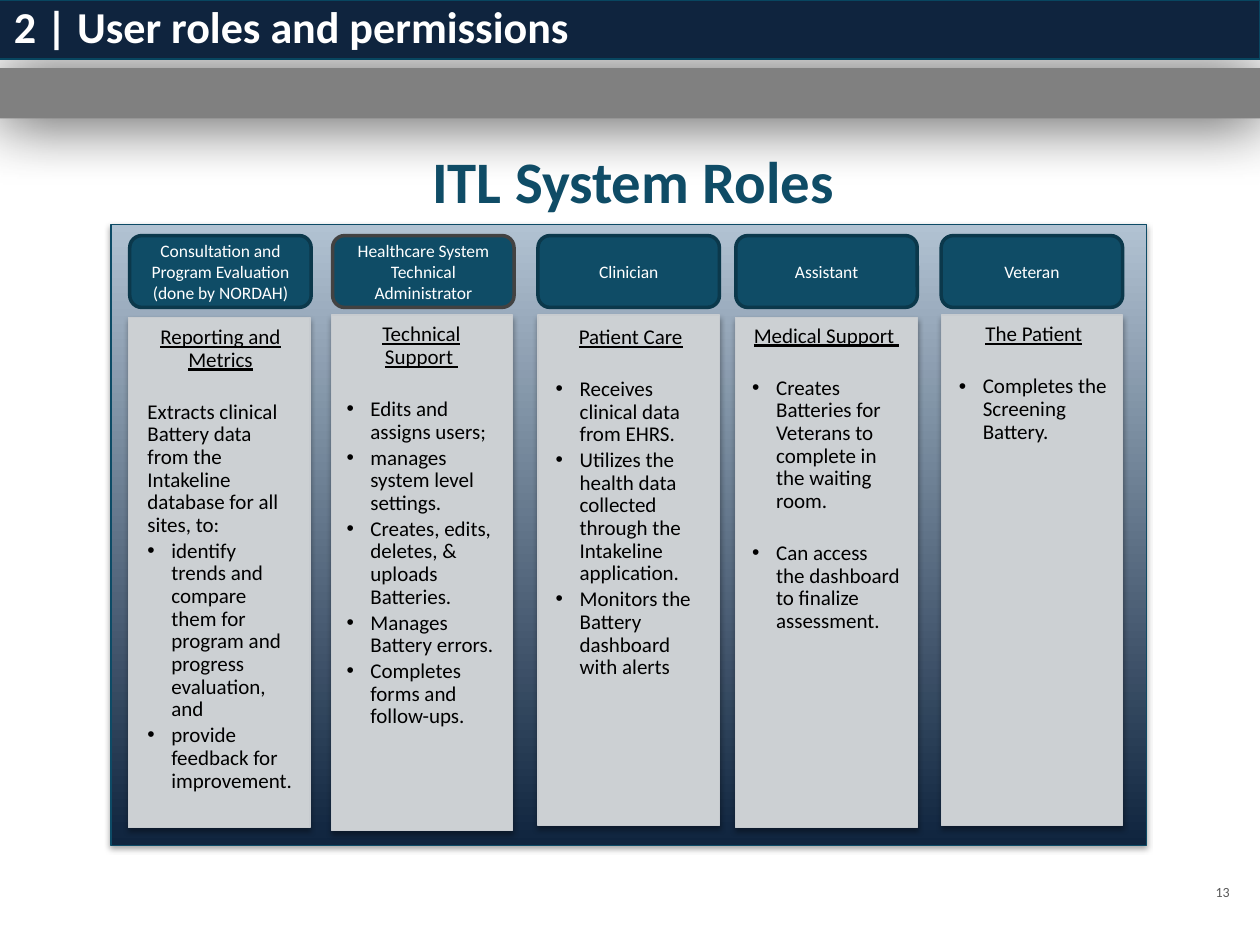
import pptx
import pptx.util
import pptx.dml.color
from pptx.enum.shapes import MSO_SHAPE
from pptx.enum.text import MSO_ANCHOR, PP_ALIGN
from pptx.oxml.ns import qn
from lxml import etree

Inches, Pt = pptx.util.Inches, pptx.util.Pt

FONT = "Calibri"
NAVY, TEAL, TEAL_DARK, TEAL_LINE = "0F243E", "0F4C66", "0B384B", "0D4B66"
PANEL, PANEL_LINE = "CCD0D3", "C7CBCF"
SOFT_SHADOW = (35, 3.1, 1.8)   # opacity %, blur pt, distance pt
BAR_SHADOW = (72, 38, 1)

TITLE = "2 | User roles and permissions"
SUBTITLE = "ITL System Roles"
PAGE = "13"

HEADER_TOP, HEADER_H = 1.87, 0.57
COL_W = 1.44
LINE_GAP, BLOCK_GAP = 1.8, 16.7   # points after a paragraph

# Each body line: (kind, text); "last" is a bullet that ends a block
ROLES = [
    dict(role="Consultation and Program Evaluation (done by NORDAH)", left=1.03,
         panel=(1.02, 2.52, 4.05), text=(1.1, 2.52, 1.32), line=TEAL_DARK,
         heading="Reporting and Metrics",
         body=[("plain", "Extracts clinical Battery data from the Intakeline "
                         "database for all sites, to:"),
               ("bullet", "identify trends and compare them for program and "
                          "progress evaluation, and"),
               ("bullet", "provide feedback for improvement.")]),
    dict(role="Healthcare System Technical Administrator", left=2.64,
         panel=(2.63, 2.5, 4.09), text=(2.68, 2.5, 1.35), line="424242",
         heading="Technical Support ",
         body=[("bullet", "Edits and assigns users;"),
               ("bullet", "manages system level settings."),
               ("bullet", "Creates, edits, deletes, & uploads Batteries."),
               ("bullet", "Manages Battery errors."),
               ("bullet", "Completes forms and follow-ups.")]),
    dict(role="Clinician", left=4.27,
         panel=(4.27, 2.5, 4.05), text=(4.34, 2.52, 1.35), line=TEAL_DARK,
         heading="Patient Care",
         body=[("bullet", "Receives clinical data from EHRS."),
               ("bullet", "Utilizes the health data collected through the "
                          "Intakeline application."),
               ("bullet", "Monitors the Battery dashboard with alerts")]),
    dict(role="Assistant", left=5.84,
         panel=(5.84, 2.52, 4.05), text=(5.9, 2.51, 1.34), line=TEAL_DARK,
         heading="Medical Support ",
         body=[("last", "Creates Batteries for Veterans to complete in the "
                        "waiting room."),
               ("bullet", "Can access the dashboard to finalize assessment.")]),
    dict(role="Veteran", left=7.47,
         panel=(7.47, 2.5, 4.05), text=(7.54, 2.5, 1.35), line=TEAL_DARK,
         heading="The Patient",
         body=[("bullet", "Completes the Screening Battery.")]),
]


def rgb(color):
    return pptx.dml.color.RGBColor.from_string(color)


def box(at):
    return [Inches(v) for v in at]


def add_shadow(sp, opacity, blur, dist):
    effects = sp.element.spPr.find(qn("a:effectLst"))
    shadow = etree.SubElement(effects, qn("a:outerShdw"), blurRad=str(Pt(blur)),
                              dist=str(Pt(dist)), dir="5400000", rotWithShape="0")
    clr = etree.SubElement(shadow, qn("a:srgbClr"), val="000000")
    etree.SubElement(clr, qn("a:alpha"), val=str(opacity * 1000))


def add_block(s, at, fill=None, line=None, width=0.75, shadow=None,
              kind=MSO_SHAPE.RECTANGLE):
    sp = s.shapes.add_shape(kind, *box(at))
    sp.shadow.inherit = False
    if fill:
        sp.fill.solid()
        sp.fill.fore_color.rgb = rgb(fill)
    if line:
        sp.line.color.rgb = rgb(line)
        sp.line.width = Pt(width)
    else:
        sp.line.fill.background()
    if shadow:
        add_shadow(sp, *shadow)
    return sp


def write(p, text, size, color, align=PP_ALIGN.LEFT, bold=False):
    p.text = text
    p.alignment = align
    p.font.name, p.font.size, p.font.bold = FONT, Pt(size), bold
    p.font.color.rgb = rgb(color)


def add_text(s, at, anchor=MSO_ANCHOR.TOP):
    tf = s.shapes.add_textbox(*box(at)).text_frame
    tf.word_wrap = True
    tf.vertical_anchor = anchor
    return tf


def add_bullet(p):
    pPr = p._p.get_or_add_pPr()
    indent = Inches(0.19)
    pPr.set("marL", str(indent))
    pPr.set("indent", str(-indent))
    # bullet elements come before the default run properties
    bullet = etree.Element(qn("a:buChar"), char="•")
    font = etree.Element(qn("a:buFont"), typeface="Arial")
    defaults = pPr.find(qn("a:defRPr"))
    defaults.addprevious(font)
    defaults.addprevious(bullet)


def add_role(s, role, left, panel, text, line, heading, body):
    sp = add_block(s, (left, HEADER_TOP, COL_W, HEADER_H), TEAL, line, 2,
                   kind=MSO_SHAPE.ROUNDED_RECTANGLE)
    sp.text_frame.vertical_anchor = MSO_ANCHOR.MIDDLE
    write(sp.text_frame.paragraphs[0], role, 10, "FFFFFF", PP_ALIGN.CENTER)

    x, y, height = panel
    add_block(s, (x, y, COL_W, height), PANEL, PANEL_LINE, shadow=SOFT_SHADOW)

    tf = add_text(s, (*text, height))
    tf.margin_left = tf.margin_top = Inches(0.07)
    tf.margin_right, tf.margin_bottom = Inches(0.09), Inches(0.1)
    for i, (kind, words) in enumerate([("heading", heading)] + body):
        p = tf.add_paragraph() if i else tf.paragraphs[0]
        is_heading = kind == "heading"
        write(p, words, 12, "000000", PP_ALIGN.CENTER if is_heading else PP_ALIGN.LEFT)
        p.font.underline = is_heading
        p.line_spacing = 0.9
        p.space_after = Pt(BLOCK_GAP if kind in ("heading", "last") else LINE_GAP)
        if kind in ("bullet", "last"):
            add_bullet(p)


def main():
    prs = pptx.Presentation()
    prs.slide_width, prs.slide_height = Inches(10), Inches(7.5)
    s = prs.slides.add_slide(prs.slide_layouts[5])

    add_block(s, (0, 0.54, 10.01, 0.4), "808080", shadow=BAR_SHADOW)
    add_block(s, (-0.01, 0, 10.01, 0.47), NAVY, "084660")

    frame = add_block(s, (0.88, 1.78, 8.22, 4.93), line=TEAL_LINE, shadow=SOFT_SHADOW)
    frame.fill.gradient()
    frame.fill.gradient_angle = 90
    for stop, color in zip(frame.fill.gradient_stops, (NAVY, "B1C2D2")):
        stop.color.rgb = rgb(color)

    for role in ROLES:
        add_role(s, **role)

    tf = add_text(s, (9.36, 6.88, 0.5, 0.4), MSO_ANCHOR.MIDDLE)
    write(tf.paragraphs[0], PAGE, 8, "595959", PP_ALIGN.RIGHT)
    tf = add_text(s, (0.74, 1.1, 8.57, 0.59))
    write(tf.paragraphs[0], SUBTITLE, 33.6, TEAL, PP_ALIGN.CENTER, bold=True)

    title = s.shapes.title
    title.left, title.top, title.width, title.height = box((0.01, 0.05, 9.63, 0.39))
    title.text_frame.vertical_anchor = MSO_ANCHOR.MIDDLE
    p = title.text_frame.paragraphs[0]
    write(p, TITLE, 25.2, "FFFFFF", bold=True)
    p.line_spacing = 0.8
    title.element.getparent().append(title.element)   # in front of the bar

    prs.save("out.pptx")


if __name__ == "__main__":
    main()
